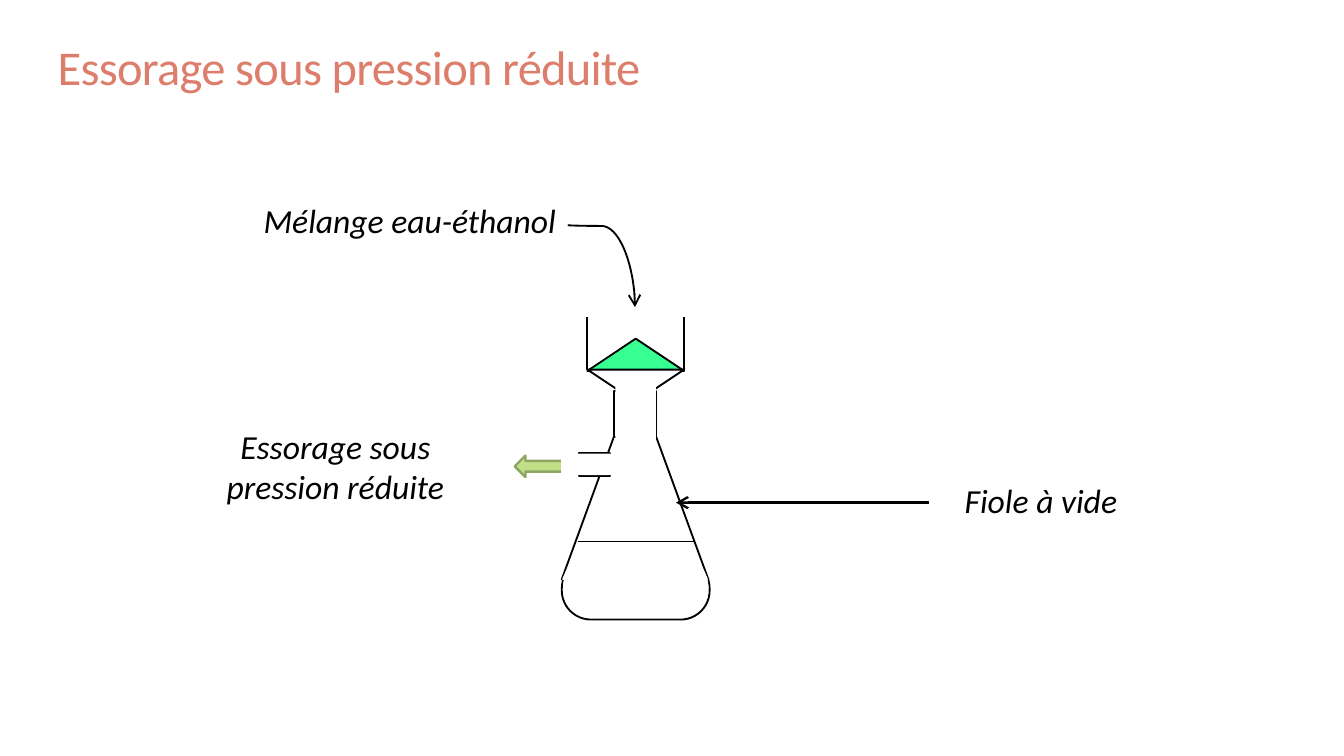
from lxml.etree import SubElement
from pptx import Presentation
from pptx.dml.color import RGBColor
from pptx.enum.shapes import MSO_CONNECTOR as Connector, MSO_SHAPE as Shape
from pptx.enum.text import MSO_ANCHOR as Anchor, MSO_AUTO_SIZE as AutoSize, PP_ALIGN as Align
from pptx.oxml.ns import qn
from pptx.util import Inches, Pt

COLORS = {
    "title": "DC7E6B",
    "black": "000000",
    "white": "FFFFFF",
    "solid": "37FF92",
    "arrow": "C1DF87",
    "arrow_edge": "8FA564",
}


def color(name):
    return RGBColor.from_string(COLORS[name])


def write_text(frame, text, size=18, ink="black", italic=False, align=Align.LEFT,
               line_spacing=None, tracking=None):
    paragraph = frame.paragraphs[0]
    paragraph.alignment = align
    if line_spacing:
        paragraph.line_spacing = line_spacing
    run = paragraph.add_run()
    run.text = text
    run.font.name = "Calibri"
    run.font.size = Pt(size)
    run.font.italic = italic
    run.font.color.rgb = color(ink)
    if tracking:
        run.font._element.set("spc", str(int(tracking * 100)))


class SlideBuilder:
    def __init__(self, slide):
        self.slide = slide

    def text_box(self, box, text, insets=(0.1, 0.05), wrap=True, grow=True, **style):
        frame = self.slide.shapes.add_textbox(*map(Inches, box)).text_frame
        frame.word_wrap = wrap
        frame.auto_size = AutoSize.SHAPE_TO_FIT_TEXT if grow else AutoSize.NONE
        frame.vertical_anchor = Anchor.TOP
        frame.margin_left = frame.margin_right = Inches(insets[0])
        frame.margin_top = frame.margin_bottom = Inches(insets[1])
        write_text(frame, text, **style)

    def label(self, box, text, **options):
        self.text_box(box, text, italic=True, align=Align.CENTER, **options)

    def shape(self, kind, box, fill="white", line="black", width=1,
              rotation=0, adjustments=(), flip=False):
        shape = self.slide.shapes.add_shape(kind, *map(Inches, box))
        shape.shadow.inherit = False
        shape.rotation = rotation
        for index, value in enumerate(adjustments):
            shape.adjustments[index] = value
        if fill:
            shape.fill.solid()
            shape.fill.fore_color.rgb = color(fill)
        else:
            shape.fill.background()
        if line:
            shape.line.color.rgb = color(line)
            shape.line.width = Pt(width)
        else:
            shape.line.fill.background()
        if flip:
            shape._element.spPr.find(qn("a:xfrm")).set("flipH", "1")

    def mask(self, box, **options):
        self.shape(Shape.RECTANGLE, box, line=None, **options)

    def connector(self, start, end, width=1, kind=Connector.STRAIGHT, arrow=False):
        line = self.slide.shapes.add_connector(kind, *map(Inches, start + end))
        line.line.color.rgb = color("black")
        line.line.width = Pt(width)
        properties = line._element.spPr
        if arrow:
            SubElement(line.line._get_or_add_ln(), qn("a:tailEnd"), type="arrow")
        SubElement(properties, qn("a:effectLst"))
        return properties

    def bent_arrow(self, start, end, bend):
        """Curved arrow, turned a quarter so that it ends pointing down."""
        properties = self.connector(start, end, kind=Connector.CURVE, arrow=True)
        properties.find(qn("a:xfrm")).set("rot", str(270 * 60000))
        guides = properties.find(qn("a:prstGeom")).find(qn("a:avLst"))
        SubElement(guides, qn("a:gd"), name="adj1", fmla=f"val {int(bend * 100000)}")


def draw_flask(builder):
    base = {"rotation": 180, "adjustments": (0.47, 0.5)}
    # Rounded base, opened at the top
    builder.shape(Shape.ROUND_2_SAME_RECTANGLE, (4.18, 4.15, 1.1, 0.46), **base)
    for box in ((4.18, 4.14, 1.1, 0.16), (4.18, 4.13, 1.09, 0.16)):
        builder.shape(Shape.RECTANGLE, box, line="white")
    # Conical body, joined to the base
    builder.shape(Shape.ISOSCELES_TRIANGLE, (4.18, 2.82, 1.09, 1.49), fill=None)
    builder.mask((4.57, 2.63, 0.31, 0.82))
    builder.shape(Shape.ROUND_2_SAME_RECTANGLE, (4.19, 4.13, 1.08, 0.47), line=None, **base)
    builder.shape(Shape.TRAPEZOID, (4.19, 3.9, 1.07, 0.41), line="white", adjustments=(0.46,))
    # Liquid level
    builder.connector((4.3, 4.03), (5.17, 4.03), width=0.75)
    # Side tube with open ends
    builder.shape(Shape.RECTANGLE, (4.34, 3.34, 0.17, 0.23), rotation=270)
    builder.mask((4.33, 3.22, 0.16, 0.47), rotation=270)


def draw_funnel(builder):
    # Open cup holding the solid
    builder.shape(Shape.RECTANGLE, (4.37, 2.28, 0.72, 0.47))
    builder.shape(Shape.ISOSCELES_TRIANGLE, (4.37, 2.52, 0.72, 0.24), fill="solid")
    builder.shape(Shape.RECTANGLE, (4.31, 2.18, 0.86, 0.17), line="white")
    # Cone and neck
    builder.shape(Shape.ISOSCELES_TRIANGLE, (4.37, 2.75, 0.72, 0.24), rotation=180)
    builder.mask((4.59, 2.86, 0.26, 0.39))
    builder.shape(Shape.RECTANGLE, (4.57, 2.91, 0.31, 0.34))
    builder.mask((4.58, 2.85, 0.3, 0.42))


def main():
    presentation = Presentation()
    presentation.slide_width = Inches(10)
    presentation.slide_height = Inches(10 * 9 / 16)
    builder = SlideBuilder(presentation.slides.add_slide(presentation.slide_layouts[6]))

    # Title
    builder.text_box((0.33, 0.24, 9.32, 0.63), "Essorage sous pression réduite",
                     insets=(0.1, 0.1), grow=False, size=26,
                     ink="title", line_spacing=0.85, tracking=-0.4)

    # Suction
    builder.shape(Shape.RIGHT_ARROW, (3.83, 3.39, 0.41, 0.16), fill="arrow",
                  line="arrow_edge", width=1.25, flip=True)
    builder.label((1.49, 3.13, 2.01, 0.68), "Essorage sous pression réduite",
                  insets=(0.07, 0.04))

    # Apparatus
    draw_flask(builder)
    draw_funnel(builder)

    # Labels and their arrows
    builder.label((1.82, 1.44, 2.46, 0.4), "Mélange eau-éthanol", wrap=False)
    builder.connector((6.91, 3.74), (5.03, 3.74), width=1.25, arrow=True)
    builder.label((7.04, 3.52, 1.41, 0.4), "Fiole à vide", wrap=False)
    builder.bent_arrow((4.78, 1.73), (4.17, 2.23), bend=0.01)

    presentation.save("out.pptx")


if __name__ == "__main__":
    main()
